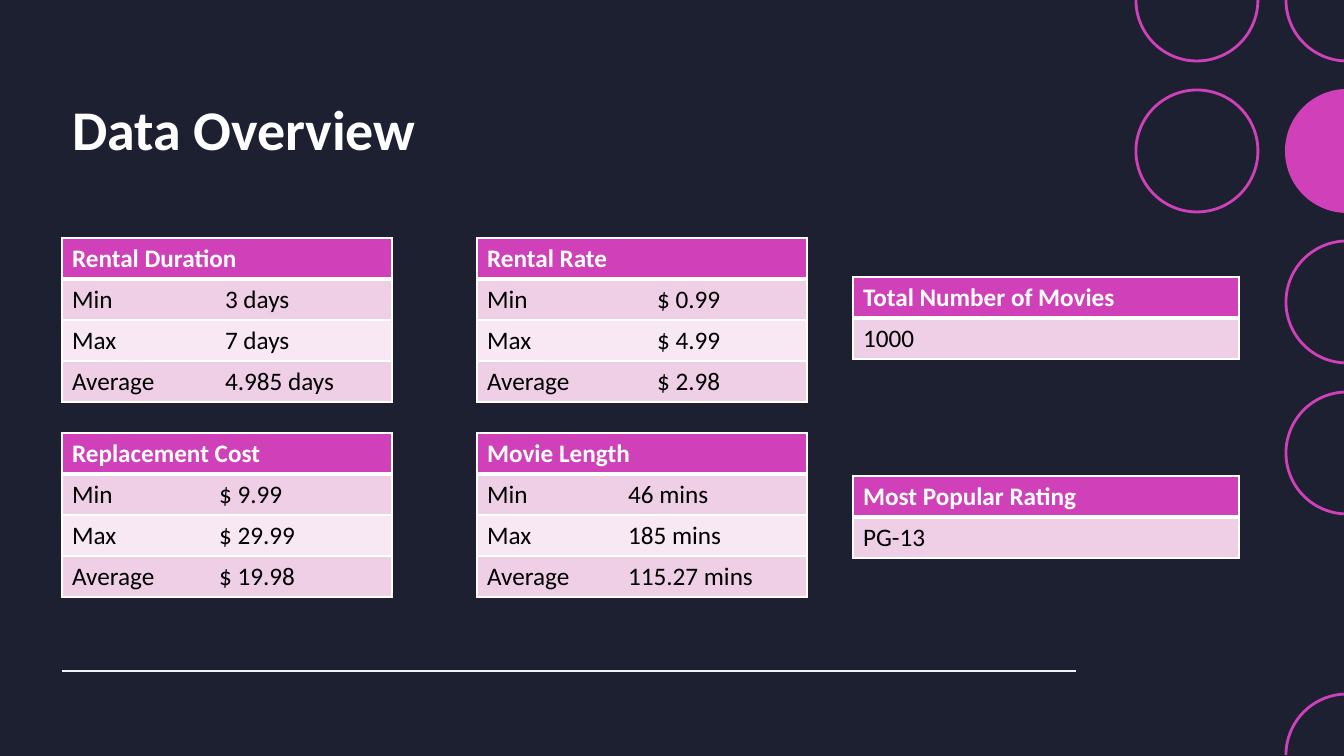
import math

import pptx
import pptx.dml.color
import pptx.enum.shapes
import pptx.enum.text
import pptx.oxml
import pptx.oxml.ns
import pptx.util

# Content
TITLE = "Data Overview"
# heading, rows of (label, value), left, top, width, offset of the values
TABLES = [
    ("Rental Duration", [("Min", "3 days"), ("Max", "7 days"), ("Average", "4.985 days")],
     62, 238, 330, 153),
    ("Rental Rate", [("Min", "$ 0.99"), ("Max", "$ 4.99"), ("Average", "$ 2.98")],
     477, 238, 330, 170),
    ("Replacement Cost", [("Min", "$ 9.99"), ("Max", "$ 29.99"), ("Average", "$ 19.98")],
     62, 433, 330, 147),
    ("Movie Length", [("Min", "46 mins"), ("Max", "185 mins"), ("Average", "115.27 mins")],
     477, 433, 330, 141),
    ("Total Number of Movies", [("1000",)], 853, 277, 386, 0),
    ("Most Popular Rating", [("PG-13",)], 853, 476, 386, 0),
]

# Layout in px
SLIDE_WIDTH, SLIDE_HEIGHT = 1344, 756
ROW_HEIGHT = 41
CIRCLE_COLUMNS = (1197, 1347)
CIRCLE_PITCH = 151
RING_RADIUS, DISC_RADIUS = 61, 62
# column, row, filled
CIRCLES = [(0, 0, False), (1, 0, False), (0, 1, False), (1, 1, True),
           (1, 2, False), (1, 3, False), (1, 5, False)]

FONT = "Calibri"
COLORS = {"background": "1C2031", "accent": "D040B9", "white": "FFFFFF",
          "black": "000000", "rule": "F0F3F1", "odd": "EECFE6", "even": "F7E8F3"}


def px(length):
    return pptx.util.Emu(round(length * 12192000 / SLIDE_WIDTH))


def color(name):
    return pptx.dml.color.RGBColor.from_string(COLORS[name])


def write(text_frame, text, size=18, ink="black", bold=False):
    paragraph = text_frame.paragraphs[0]
    paragraph.alignment = pptx.enum.text.PP_ALIGN.LEFT
    run = paragraph.add_run()
    run.text = text
    run.font.name = FONT
    run.font.size = pptx.util.Pt(size)
    run.font.bold = bold
    run.font.color.rgb = color(ink)
    return paragraph


def add_xml(parent, xml):
    namespace = pptx.oxml.ns.nsdecls("a")
    parent.append(pptx.oxml.parse_xml(xml.replace(">", f" {namespace}>", 1)))


def format_cell(cell, fill, top, bottom):
    properties = cell._tc.get_or_add_tcPr()
    for side, points in (("L", 1), ("R", 1), ("T", top), ("B", bottom)):
        add_xml(properties, f'<a:ln{side} w="{points * 12700}"><a:solidFill>'
                f'<a:srgbClr val="{COLORS["white"]}"/></a:solidFill></a:ln{side}>')
    cell.fill.solid()
    cell.fill.fore_color.rgb = color(fill)
    cell.vertical_anchor = pptx.enum.text.MSO_ANCHOR.TOP


def add_summary(slide, heading, rows, left, top, width, offset):
    count = len(rows) + 1
    table = slide.shapes.add_table(count, 1, px(left), px(top), px(width),
                                   px(count * ROW_HEIGHT)).table
    table.horz_banding = False
    for row in table.rows:
        row.height = px(ROW_HEIGHT)
    header = table.cell(0, 0)
    write(header.text_frame, heading, ink="white", bold=True)
    format_cell(header, "accent", 1, 3)
    for index, row in enumerate(rows, 1):
        cell = table.cell(index, 0)
        paragraph = write(cell.text_frame, "\t".join(row))
        if offset:
            add_xml(paragraph._p.get_or_add_pPr(),
                    f'<a:tabLst><a:tab pos="{px(offset)}" algn="l"/></a:tabLst>')
        format_cell(cell, "odd" if index % 2 else "even", 3 if index == 1 else 1, 1)


def add_circle(slide, column, row, filled):
    """Draw the part of a circle that lies on the slide."""
    center_x, center_y = CIRCLE_COLUMNS[column], row * CIRCLE_PITCH
    radius = DISC_RADIUS if filled else RING_RADIUS
    circle = [(center_x + radius * math.cos(math.radians(angle)),
               center_y + radius * math.sin(math.radians(angle)))
              for angle in range(0, 360, 3)]
    points = [(px(x), px(y)) for x, y in circle
              if 0 <= x <= SLIDE_WIDTH and 0 <= y <= SLIDE_HEIGHT]
    whole = len(points) == len(circle)
    if whole:
        shape = slide.shapes.add_shape(
            pptx.enum.shapes.MSO_SHAPE.OVAL, px(center_x - radius), px(center_y - radius),
            px(2 * radius), px(2 * radius))
    else:
        builder = slide.shapes.build_freeform(*points[0])
        builder.add_line_segments(points[1:], close=filled)
        shape = builder.convert_to_shape()
    shape.shadow.inherit = False
    if filled:
        shape.fill.solid()
        shape.fill.fore_color.rgb = color("accent")
        shape.line.fill.background()
    else:
        shape.fill.background()
        shape.line.color.rgb = color("accent")
        shape.line.width = pptx.util.Pt(2)


def main():
    presentation = pptx.Presentation()
    presentation.slide_width, presentation.slide_height = px(SLIDE_WIDTH), px(SLIDE_HEIGHT)
    slide = presentation.slides.add_slide(presentation.slide_layouts[5])
    slide.background.fill.solid()
    slide.background.fill.fore_color.rgb = color("background")

    # Title
    title = slide.shapes.title
    title.left, title.top, title.width, title.height = px(62), px(85), px(1014), px(140)
    title.text_frame.vertical_anchor = pptx.enum.text.MSO_ANCHOR.TOP
    title.text_frame.margin_top = px(9)
    write(title.text_frame, TITLE, size=40, ink="white", bold=True)

    # Bottom rule
    rule = slide.shapes.add_connector(pptx.enum.shapes.MSO_CONNECTOR.STRAIGHT,
                                      px(62), px(671), px(1076), px(671))
    rule.line.color.rgb = color("rule")
    rule.line.width = pptx.util.Pt(1)
    add_xml(rule._element.spPr, "<a:effectLst></a:effectLst>")

    # Circles and tables
    for circle in CIRCLES:
        add_circle(slide, *circle)
    for summary in TABLES:
        add_summary(slide, *summary)

    presentation.save("out.pptx")


if __name__ == "__main__":
    main()
